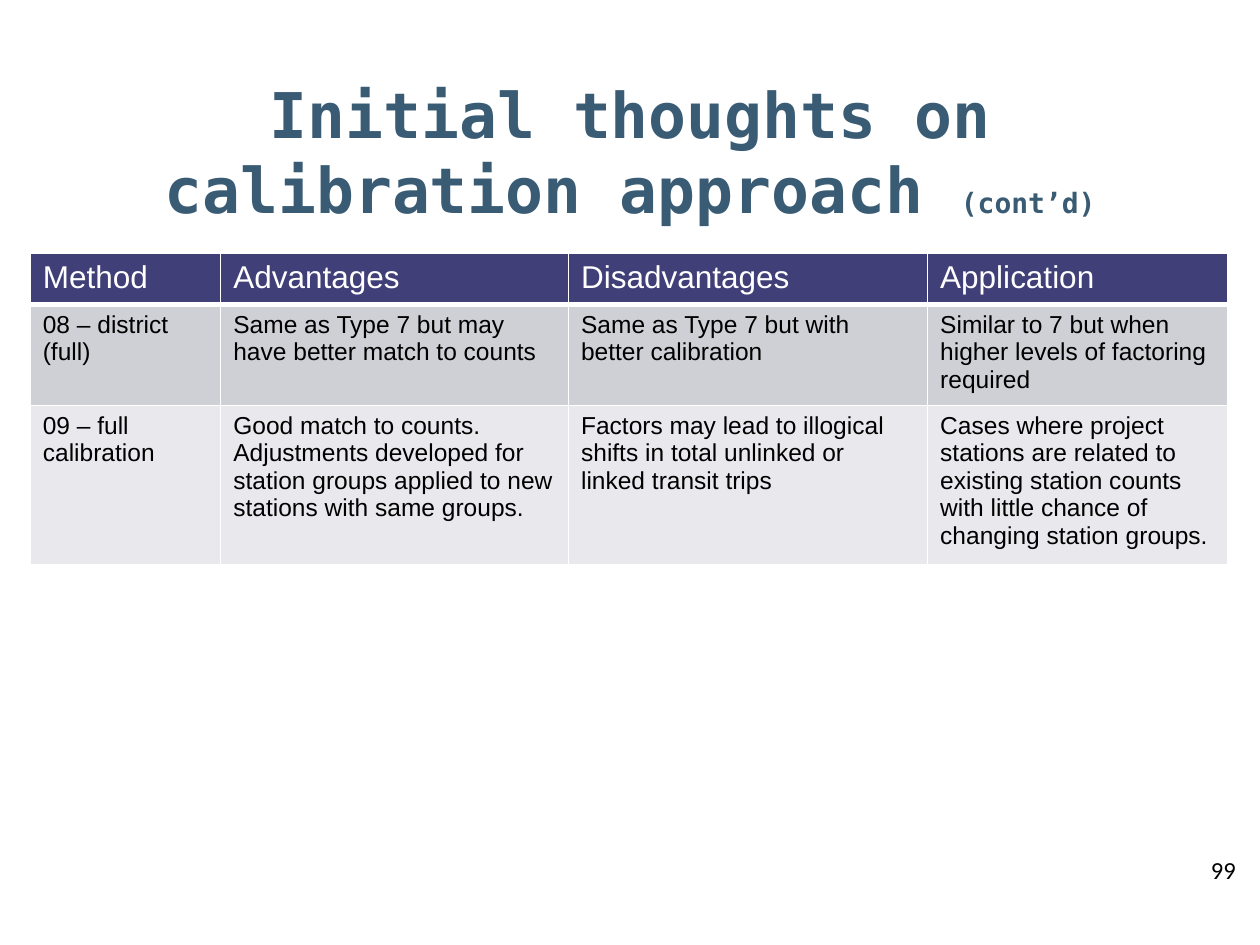
import pptx
import pptx.dml.color
import pptx.enum.text
import pptx.oxml
import pptx.oxml.ns
import pptx.util

Cm = pptx.util.Cm
Pt = pptx.util.Pt

COLORS = {
    "title": "395B74",
    "header": "413F77",
    "band_dark": "CFCFD6",
    "band_light": "E9E8EC",
    "text": "000000",
    "white": "FFFFFF",
}
COLUMN_WIDTHS = [3.84, 7.01, 7.24, 6.04]
ROW_HEIGHT = 1.03
ROWS = [
    ["Method", "Advantages", "Disadvantages", "Application"],
    [
        "08 – district (full)",
        "Same as Type 7 but may have better match to counts",
        "Same as Type 7 but with better calibration",
        "Similar to 7 but when higher levels of factoring required",
    ],
    [
        "09 – full calibration",
        "Good match to counts. Adjustments developed for station groups "
        "applied to new stations with same groups.",
        "Factors may lead to illogical shifts in total unlinked or linked transit trips",
        "Cases where project stations are related to existing station counts "
        "with little chance of changing station groups.",
    ],
]


def rgb(name):
    return pptx.dml.color.RGBColor.from_string(COLORS[name])


class SlideBuilder:
    """Holds the fonts and the slide being filled."""

    title_font = "DejaVu Sans Mono"
    table_font = "Arial"
    number_font = "Calibri"

    def __init__(self, slide):
        self.s = slide

    def run(self, p, text, font, size, color, bold=False):
        r = p.add_run()
        r.text = text
        r.font.name = font
        r.font.size = Pt(size)
        r.font.bold = bold
        r.font.color.rgb = rgb(color)

    def place(self, sp, left, top, width, height):
        sp.left, sp.top = Cm(left), Cm(top)
        sp.width, sp.height = Cm(width), Cm(height)

    def title(self, parts, box):
        sp = self.s.shapes.title
        self.place(sp, *box)
        tf = sp.text_frame
        tf.auto_size = pptx.enum.text.MSO_AUTO_SIZE.NONE
        tf.vertical_anchor = pptx.enum.text.MSO_ANCHOR.MIDDLE
        p = tf.paragraphs[0]
        p.alignment = pptx.enum.text.PP_ALIGN.CENTER
        for text, size in parts:
            self.run(p, text, self.title_font, size, "title", bold=True)

    def page_number(self, text, box):
        sp = self.s.shapes.add_textbox(*map(Cm, box))
        tf = sp.text_frame
        tf.word_wrap = True
        self.run(tf.paragraphs[0], text, self.number_font, 14, "text")

    def borders(self, cell, bottom):
        tcPr = cell._tc.get_or_add_tcPr()
        for side, width in zip("LRTB", (1, 1, 1, bottom)):
            tcPr.append(pptx.oxml.parse_xml(
                f'<a:ln{side} {pptx.oxml.ns.nsdecls("a")} w="{Pt(width)}"><a:solidFill>'
                f'<a:srgbClr val="{COLORS["white"]}"/></a:solidFill></a:ln{side}>'))

    def table(self, rows, left, top, height):
        frame = self.s.shapes.add_table(
            len(rows), len(COLUMN_WIDTHS), Cm(left), Cm(top),
            Cm(sum(COLUMN_WIDTHS)), Cm(height))
        table = frame.table
        for column, width in zip(table.columns, COLUMN_WIDTHS):
            column.width = Cm(width)
        for i, texts in enumerate(rows):
            table.rows[i].height = Cm(ROW_HEIGHT)
            if i == 0:
                fill, size, color, bottom = "header", 18, "white", 3
            else:
                fill = "band_dark" if i % 2 else "band_light"
                size, color, bottom = 14, "text", 1
            for j, text in enumerate(texts):
                cell = table.cell(i, j)
                self.borders(cell, bottom)
                cell.fill.solid()
                cell.fill.fore_color.rgb = rgb(fill)
                p = cell.text_frame.paragraphs[0]
                self.run(p, text, self.table_font, size, color)
        frame.height = Cm(height)


def main():
    prs = pptx.Presentation()
    prs.slide_width, prs.slide_height = Cm(25.4), Cm(19.05)
    title_only = prs.slide_layouts[5]
    builder = SlideBuilder(prs.slides.add_slide(title_only))
    builder.page_number("99", (24.16, 17.12, 1.24, 1.93))
    builder.title(
        [("Initial thoughts on calibration approach ", 36), ("(cont’d)", 16)],
        (1.27, 1.68, 22.86, 2.72))
    builder.table(ROWS, 0.61, 5.11, 6.27)
    prs.save("out.pptx")


if __name__ == "__main__":
    main()
